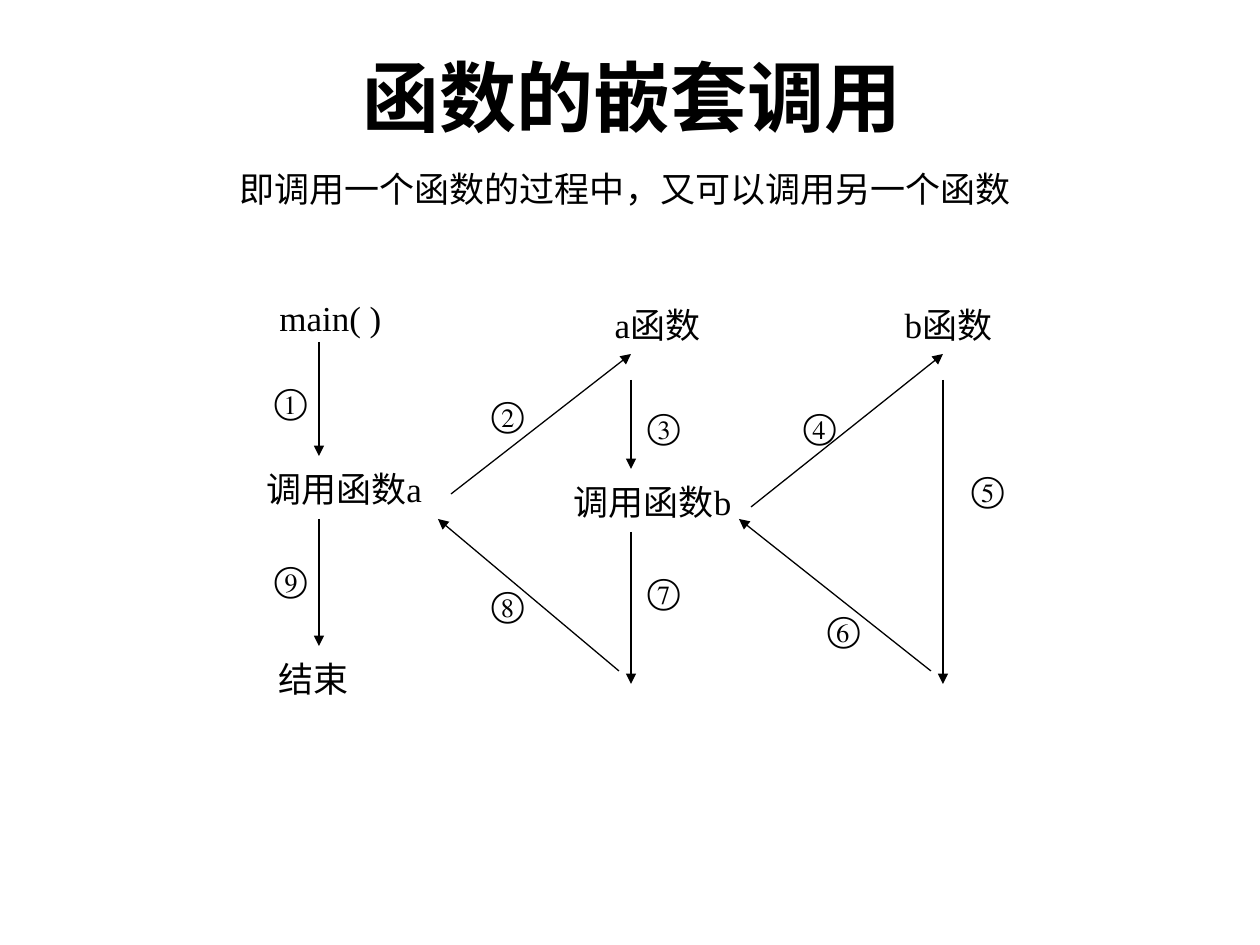
from dataclasses import dataclass

from lxml.etree import SubElement
from pptx import Presentation
from pptx.dml.color import RGBColor
from pptx.enum.shapes import MSO_CONNECTOR as Connector
from pptx.enum.text import MSO_ANCHOR as Anchor, PP_ALIGN as Align
from pptx.oxml.ns import qn
from pptx.util import Emu, Pt


@dataclass(frozen=True)
class Theme:
    ink: RGBColor = RGBColor(0, 0, 0)
    paper: RGBColor = RGBColor(255, 255, 255)
    title_font: str = "Courier New"
    subtitle_font: str = "Noto Sans CJK SC"
    label_font: str = "Times New Roman"
    title_size: int = 44
    body_size: int = 20
    line_width: float = 0.75


THEME = Theme()
EMU_PER_PX = 914400 / 126
MAIN_X, A_X, B_X = (319 + 312 * column for column in range(3))
LABEL_HEIGHT = 54
STEP_WIDTH = 57

LABELS = [
    ("main( )", 266, 290, 129),
    ("调用函数a", 253, 461, 182),
    ("结束", 266, 651, 96),
    ("a函数", 602, 297, 111),
    ("b函数", 892, 297, 113),
    ("调用函数b", 561, 474, 183),
]

ARROWS = [
    (MAIN_X, 342, MAIN_X, 456),
    (MAIN_X, 519, MAIN_X, 646),
    (451, 494, A_X, 354),
    (A_X, 380, A_X, 469),
    (A_X, 532, A_X, 684),
    (619, 671, 438, 519),
    (751, 507, B_X, 354),
    (B_X, 380, B_X, 684),
    (931, 671, 739, 519),
]

STEPS = [
    ("①", 262, 373),
    ("②", 479, 386),
    ("③", 635, 398),
    ("④", 791, 398),
    ("⑤", 959, 461),
    ("⑥", 815, 601),
    ("⑦", 635, 563),
    ("⑧", 479, 576),
    ("⑨", 262, 551),
]


def px(length):
    return Emu(round(length * EMU_PER_PX))


def add_text(slide, text, left, top, width, height, font, size,
             align=Align.CENTER, anchor=Anchor.MIDDLE, wrap=True, bold=False):
    shape = slide.shapes.add_textbox(px(left), px(top), px(width), px(height))
    frame = shape.text_frame
    frame.text = text
    frame.word_wrap = wrap
    frame.vertical_anchor = anchor
    paragraph = frame.paragraphs[0]
    paragraph.alignment = align
    run_font = paragraph.runs[0].font
    run_font.name = font
    run_font.size = Pt(size)
    run_font.bold = bold
    run_font.color.rgb = THEME.ink
    return paragraph


def add_label(slide, text, left, top, width, wrap=True):
    add_text(slide, text, left, top, width, LABEL_HEIGHT,
             THEME.label_font, THEME.body_size, wrap=wrap)


def add_arrow(slide, *ends):
    connector = slide.shapes.add_connector(Connector.STRAIGHT, *map(px, ends))
    connector.line.color.rgb = THEME.ink
    connector.line.width = Pt(THEME.line_width)
    SubElement(connector.line._get_or_add_ln(), qn("a:tailEnd"), type="triangle")
    SubElement(connector._element.spPr, qn("a:effectLst"))


def add_heading(slide):
    title = add_text(slide, "函数的嵌套调用", 241, 54, 782, 122,
                     THEME.title_font, THEME.title_size,
                     anchor=Anchor.TOP, bold=True)
    title.line_spacing = 0.9
    add_text(slide, "即调用一个函数的过程中，又可以调用另一个函数",
             227, 161, 874, 55, THEME.subtitle_font, THEME.body_size,
             align=Align.LEFT, anchor=Anchor.TOP)


def main():
    presentation = Presentation()
    presentation.slide_width = px(1260)
    presentation.slide_height = px(945)
    slide = presentation.slides.add_slide(presentation.slide_layouts[6])
    slide.background.fill.solid()
    slide.background.fill.fore_color.rgb = THEME.paper
    add_heading(slide)
    for label in LABELS:
        add_label(slide, *label)
    for arrow in ARROWS:
        add_arrow(slide, *arrow)
    for step in STEPS:
        add_label(slide, *step, STEP_WIDTH, wrap=False)
    presentation.save("out.pptx")


if __name__ == "__main__":
    main()
